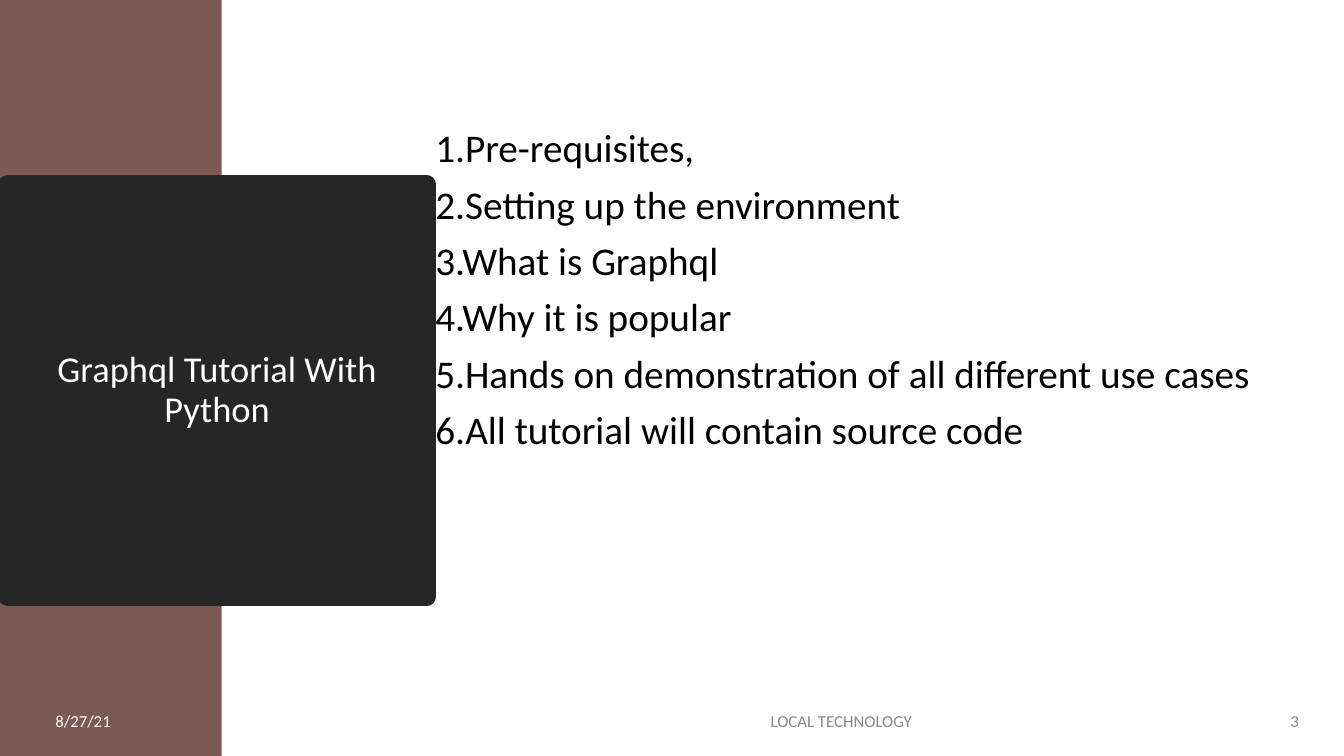
"""Build the agenda slide of a Graphql tutorial."""
import pptx
import pptx.dml.color
import pptx.enum.shapes
import pptx.enum.text
import pptx.util

BROWN = pptx.dml.color.RGBColor(0x7C, 0x59, 0x52)
CHARCOAL = pptx.dml.color.RGBColor(0x26, 0x26, 0x26)
GRAY = pptx.dml.color.RGBColor(0x89, 0x89, 0x89)
WHITE = pptx.dml.color.RGBColor(0xFF, 0xFF, 0xFF)
BLACK = pptx.dml.color.RGBColor(0x00, 0x00, 0x00)
ALIGN = pptx.enum.text.PP_ALIGN
ANCHOR = pptx.enum.text.MSO_ANCHOR
Inches = pptx.util.Inches
Pt = pptx.util.Pt


def write_text(shape, text, size, color, alignment, anchor, **spacing):
    """Fill a shape with text, one paragraph per line."""
    frame = shape.text_frame
    frame.text = text
    frame.word_wrap = True
    frame.auto_size = pptx.enum.text.MSO_AUTO_SIZE.NONE
    frame.vertical_anchor = anchor
    for paragraph in frame.paragraphs:
        paragraph.alignment = alignment
        for name, value in spacing.items():
            setattr(paragraph, name, value)
        font = paragraph.runs[0].font
        font.name = "Calibri"
        font.size = Pt(size)
        font.color.rgb = color


presentation = pptx.Presentation()
presentation.slide_width = Inches(13.33)
presentation.slide_height = Inches(7.5)
slide = presentation.slides.add_slide(presentation.slide_layouts[5])

band = slide.shapes.add_shape(
    pptx.enum.shapes.MSO_SHAPE.RECTANGLE, 0, 0, Inches(2.2), presentation.slide_height)
band.shadow.inherit = False
band.fill.solid()
band.fill.fore_color.rgb = BROWN
band.line.fill.background()

title = slide.shapes.title
title._element.addprevious(band._element)
title.left, title.top = Inches(0.08), Inches(1.83)
title.width, title.height = Inches(4.15), Inches(4.09)
title.fill.solid()
title.fill.fore_color.rgb = CHARCOAL
title.line.color.rgb = CHARCOAL
title.line.width = Pt(13.75)
write_text(title, "Graphql Tutorial With Python", 26, WHITE, ALIGN.CENTER, ANCHOR.MIDDLE,
           line_spacing=0.9)

footers = [
    ("8/27/21", 0.45, 1.62, WHITE, ALIGN.LEFT),
    ("LOCAL TECHNOLOGY", 4.5, 7.69, GRAY, ALIGN.CENTER),
    ("3", 12.37, 0.61, GRAY, ALIGN.RIGHT),
]
for text, left, width, color, alignment in footers:
    footer = slide.shapes.add_textbox(Inches(left), Inches(6.95), Inches(width), Inches(0.4))
    write_text(footer, text, 12, color, alignment, ANCHOR.MIDDLE, space_after=Pt(6))

topics = [
    "Pre-requisites,",
    "Setting up the environment",
    "What is Graphql",
    "Why it is popular",
    "Hands on demonstration of all different use cases",
    "All tutorial will contain source code",
]
agenda = slide.shapes.add_textbox(Inches(4.22), Inches(1.23), Inches(8.76), Inches(5.57))
agenda_text = "\n".join(f"{number}.{topic}" for number, topic in enumerate(topics, 1))
write_text(agenda, agenda_text, 28, BLACK, ALIGN.LEFT, ANCHOR.TOP,
           line_spacing=0.9, space_before=Pt(10))

presentation.save("out.pptx")
